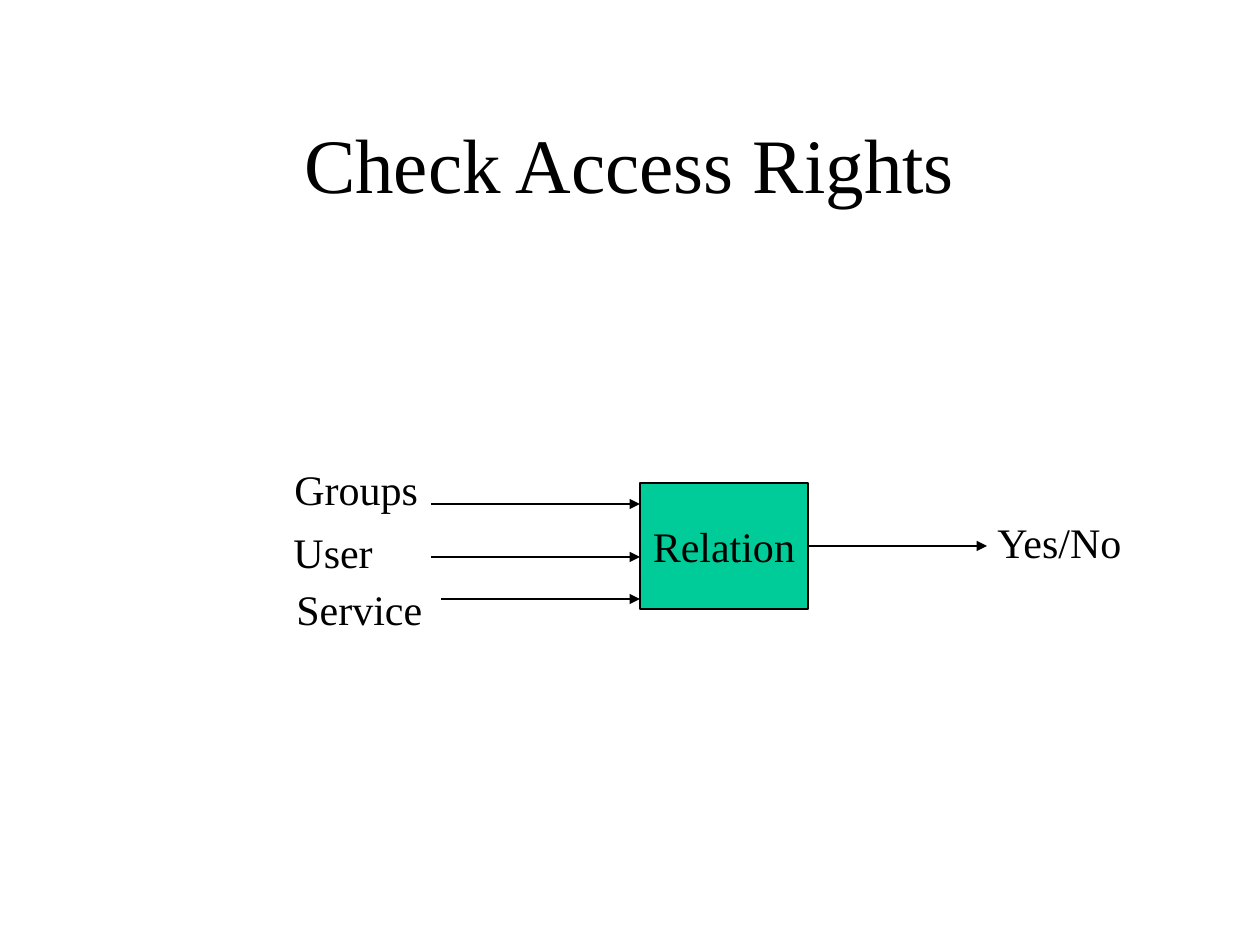
from lxml.etree import SubElement
from pptx import Presentation
from pptx.dml.color import RGBColor
from pptx.enum.shapes import MSO_CONNECTOR, MSO_SHAPE
from pptx.enum.text import MSO_ANCHOR, MSO_AUTO_SIZE, PP_ALIGN
from pptx.oxml.ns import qn
from pptx.util import Pt

EMU_PER_PX = 914400 / 126
BLACK = RGBColor(0x00, 0x00, 0x00)
GREEN = RGBColor(0x00, 0xCC, 0x99)
FONT = "Times New Roman"


def px(*lengths):
    """Turn pixel lengths into EMU."""
    return [round(length * EMU_PER_PX) for length in lengths]


def write(frame, text, size, align):
    paragraph = frame.paragraphs[0]
    paragraph.alignment = align
    run = paragraph.add_run()
    run.text = text
    run.font.name = FONT
    run.font.size = Pt(size)
    run.font.color.rgb = BLACK


prs = Presentation()
prs.slide_width, prs.slide_height = px(1260, 945)
slide = prs.slides.add_slide(prs.slide_layouts[5])

title = slide.shapes.title
title.left, title.top, title.width, title.height = px(94, 84, 1071, 158)
title.text_frame.vertical_anchor = MSO_ANCHOR.MIDDLE
write(title.text_frame, "Check Access Rights", 44, PP_ALIGN.CENTER)

relation = slide.shapes.add_shape(MSO_SHAPE.RECTANGLE, *px(640, 483, 168, 126))
relation.shadow.inherit = False
relation.fill.solid()
relation.fill.fore_color.rgb = GREEN
relation.line.color.rgb = BLACK
relation.line.width = Pt(0.75)
relation.text_frame.word_wrap = False
relation.text_frame.vertical_anchor = MSO_ANCHOR.MIDDLE
write(relation.text_frame, "Relation", 24, PP_ALIGN.CENTER)

# Inputs on the left, result on the right: text, left, top, width
for text, left, top, width in [
    ("Groups", 282, 457, 149),
    ("User", 281, 520, 105),
    ("Service", 284, 577, 151),
    ("Yes/No", 985, 510, 154),
]:
    label = slide.shapes.add_textbox(*px(left, top, width, 63))
    label.text_frame.word_wrap = False
    label.text_frame.auto_size = MSO_AUTO_SIZE.SHAPE_TO_FIT_TEXT
    write(label.text_frame, text, 24, PP_ALIGN.LEFT)

# Arrows into and out of the relation: start, end, height on the slide
for start, end, y in [(431, 640, 504), (431, 640, 557), (441, 640, 599), (808, 987, 546)]:
    arrow = slide.shapes.add_connector(MSO_CONNECTOR.STRAIGHT, *px(start, y, end, y))
    arrow.line.color.rgb = BLACK
    arrow.line.width = Pt(0.75)
    SubElement(arrow.line._get_or_add_ln(), qn("a:tailEnd"), type="triangle")
    SubElement(arrow._element.spPr, qn("a:effectLst"))

prs.save("out.pptx")
